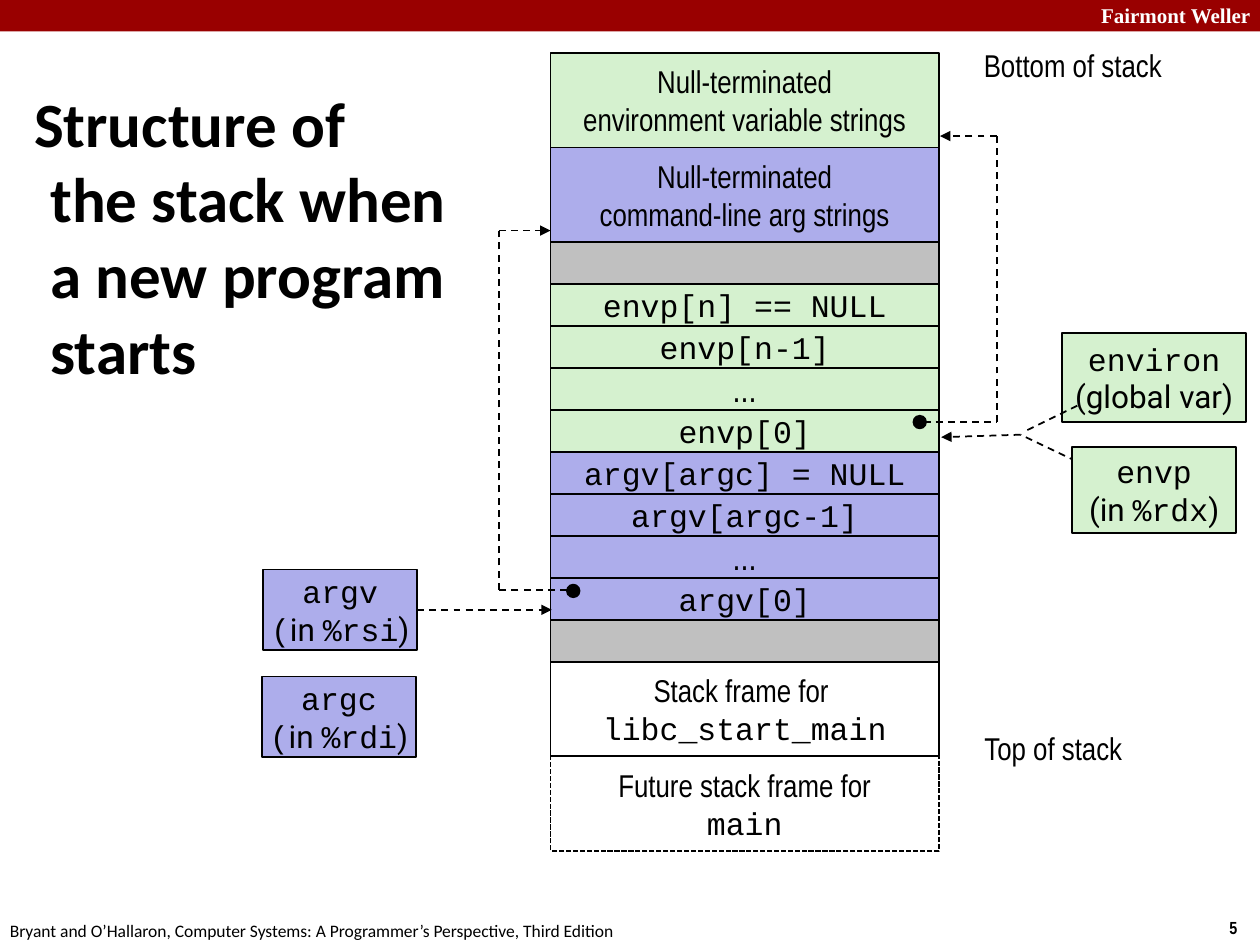
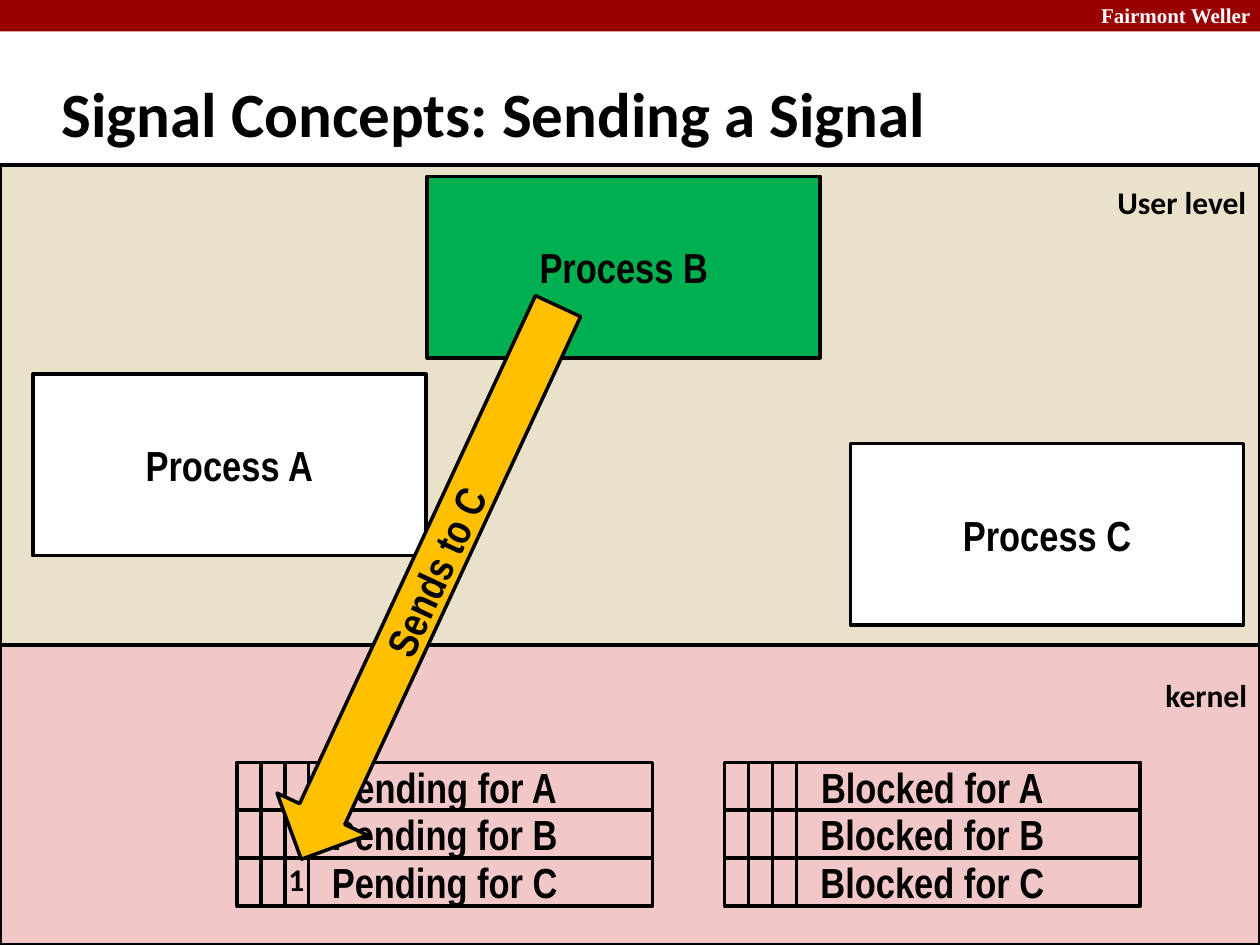
import dataclasses
import itertools

import lxml.etree
import pptx
import pptx.dml.color
import pptx.enum.dml
import pptx.enum.shapes
import pptx.enum.text
import pptx.oxml.ns
import pptx.util

Inches = pptx.util.Inches
SHAPE = pptx.enum.shapes.MSO_SHAPE
ALIGN = pptx.enum.text.PP_ALIGN
ANCHOR = pptx.enum.text.MSO_ANCHOR
DASH = pptx.enum.dml.MSO_LINE


@dataclasses.dataclass(frozen=True)
class Theme:
    band: str = "990000"
    black: str = "000000"
    white: str = "FFFFFF"
    env_green: str = "D5F1CF"
    arg_violet: str = "ADADEB"
    gap_gray: str = "C0C0C0"
    user_sand: str = "E9E1C9"
    kernel_pink: str = "F1C7C7"
    sender_green: str = "00B050"
    arrow_gold: str = "FFC000"
    body: str = "Calibri"
    narrow: str = "Arial Narrow"
    code: str = "Courier New"
    note: str = "Roboto"
    brand: str = "Times New Roman"
    title_size: int = 36
    process_size: int = 24
    dots_size: int = 20
    text_size: int = 18
    brand_size: int = 12
    footer_size: int = 10
    thin: int = 1
    thick: int = 2


THEME = Theme()
NARROW = {"name": THEME.narrow, "size": THEME.text_size}
CODE = {**NARROW, "name": THEME.code}
NOTE = {**NARROW, "name": THEME.note}
DOTS = {**NARROW, "size": THEME.dots_size}
LABEL = {"name": THEME.body, "size": THEME.text_size, "bold": True}
PROCESS = {"name": THEME.narrow, "size": THEME.process_size, "bold": True}
TITLE = {"name": THEME.body, "size": THEME.title_size, "bold": True}
BRAND = {"name": THEME.brand, "size": THEME.brand_size, "bold": True}
FOOTER = {"name": THEME.body, "size": THEME.footer_size}
PAGE_NUMBER = {"name": THEME.narrow, "size": THEME.footer_size, "bold": True}

STACK_LEFT, STACK_TOP, STACK_WIDTH = 4.37, 0.42, 3.08
SLOT, BLOCK = 1 / 3, 0.75
PROCESS_SIZE = (3.12, 1.44)
REGISTER_TOP, REGISTER_WIDTH, REGISTER_HEIGHT = 6.05, 3.3, 0.38
BIT_WIDTH = 0.19


def rgb(color):
    return pptx.dml.color.RGBColor.from_string(color)


def format_font(font, values, color=THEME.black):
    for key, value in values.items():
        setattr(font, key, pptx.util.Pt(value) if key == "size" else value)
    font.color.rgb = rgb(color)


def write_lines(frame, lines, align=ALIGN.CENTER, color=THEME.black):
    """Write one paragraph per line; a line is a list of (text, font values)."""
    for index, line in enumerate(lines):
        para = frame.add_paragraph() if index else frame.paragraphs[0]
        para.alignment = align
        for text, values in line:
            span = para.add_run()
            span.text = text
            format_font(span.font, values, color)


def format_line(line, width, dash=None):
    line.color.rgb = rgb(THEME.black)
    line.width = pptx.util.Pt(width)
    if dash:
        line.dash_style = dash


def add_box(page, at, fill=None, lines=(), width=THEME.thin, dash=None,
            wrap=False, kind=SHAPE.RECTANGLE):
    """Add a preset shape; a width of 0 leaves out its outline."""
    box = page.shapes.add_shape(kind, *map(Inches, at))
    box.shadow.inherit = False
    if fill:
        box.fill.solid()
        box.fill.fore_color.rgb = rgb(fill)
    else:
        box.fill.background()
    if width:
        format_line(box.line, width, dash)
    else:
        box.line.fill.background()
    box.text_frame.word_wrap = wrap
    box.text_frame.vertical_anchor = ANCHOR.MIDDLE
    write_lines(box.text_frame, lines)
    return box


def add_label(page, at, text, values, color=THEME.black, align=ALIGN.LEFT):
    label = page.shapes.add_textbox(*map(Inches, at))
    label.text_frame.word_wrap = False
    label.text_frame.auto_size = pptx.enum.text.MSO_AUTO_SIZE.SHAPE_TO_FIT_TEXT
    write_lines(label.text_frame, [[(text, values)]], align, color)


def add_line(page, start, end, width=THEME.thin, dash=None, arrow=False):
    line = page.shapes.add_connector(
        pptx.enum.shapes.MSO_CONNECTOR.STRAIGHT, *map(Inches, (*start, *end)))
    format_line(line.line, width, dash)
    if arrow:
        tail = lxml.etree.SubElement(line.get_or_add_ln(), pptx.oxml.ns.qn("a:tailEnd"))
        tail.set("type", "triangle")
    lxml.etree.SubElement(line.element.spPr, pptx.oxml.ns.qn("a:effectLst"))
    return line


def add_route(page, points, arrow=True):
    """Join points with dashed lines, the last one with an arrowhead."""
    for start, end in itertools.pairwise(points):
        add_line(page, start, end, dash=DASH.DASH, arrow=arrow and end == points[-1])


def add_page(deck, title, title_at):
    page = deck.slides.add_slide(deck.slide_layouts[5])
    add_box(page, (0, 0, 10, 0.25), THEME.band, width=0)
    add_label(page, (8.64, -0.03, 1.43, 0.3), "Fairmont Weller", BRAND, THEME.white)
    holder = page.shapes.title
    for name, value in zip(("left", "top", "width", "height"), title_at):
        setattr(holder, name, Inches(value))
    frame = holder.text_frame
    frame.word_wrap = True
    frame.auto_size = pptx.enum.text.MSO_AUTO_SIZE.NONE
    frame.vertical_anchor = ANCHOR.MIDDLE
    frame.text = title
    para = frame.paragraphs[0]
    para.alignment = ALIGN.LEFT
    indent = Inches(0.13)
    properties = para._p.get_or_add_pPr()
    properties.set("marL", str(indent))
    properties.set("indent", str(-indent))
    for span in para.runs:
        format_font(span.font, TITLE)
    return page


def add_stack(page):
    def text(words, values=NARROW):
        return [(words, values)]

    green, violet, gray = THEME.env_green, THEME.arg_violet, THEME.gap_gray
    rows = [
        (BLOCK, green, [text("Null-terminated"), text("environment variable strings")]),
        (BLOCK, violet, [text("Null-terminated"), text("command-line arg strings")]),
        (SLOT, gray, []),
        (SLOT, green, [text("envp[n] == NULL", CODE)]),
        (SLOT, green, [text("envp[n-1]", CODE)]),
        (SLOT, green, [text("...", DOTS)]),
        (SLOT, green, [text("envp[0]", CODE)]),
        (SLOT, violet, [text("argv[argc] = NULL", CODE)]),
        (SLOT, violet, [text("argv[argc-1]", CODE)]),
        (SLOT, violet, [text("...", DOTS)]),
        (SLOT, violet, [text("argv[0]", CODE)]),
        (SLOT, gray, []),
        (BLOCK, None, [text("Stack frame for "), text("libc_start_main", CODE)]),
    ]
    top = STACK_TOP
    for height, fill, lines in rows:
        add_box(page, (STACK_LEFT, top, STACK_WIDTH, height), fill, lines)
        top += height
    add_box(page, (STACK_LEFT, top, STACK_WIDTH, BLOCK), None,
            [text("Future stack frame for"), text("main", CODE)], dash=DASH.SQUARE_DOT)


def add_variable(page, at, fill, name, register, bracket=CODE):
    lines = [[(name, CODE)],
             [("(", bracket), ("in ", NOTE), (register, CODE), (")", NOTE)]]
    return add_box(page, at, fill, lines)


def build_stack_page(deck):
    page = add_page(deck, "Structure of \vthe stack when a new program starts",
                    (0.17, 0.83, 3.57, 2.08))
    add_label(page, (9.66, 7.23, 0.34, 0.27), "5", PAGE_NUMBER)
    add_label(page, (-0.02, 7.25, 5.08, 0.27),
              "Bryant and O’Hallaron, Computer Systems: A Programmer’s Perspective, "
              "Third Edition", FOOTER)
    add_stack(page)
    add_label(page, (7.7, 0.32, 1.63, 0.4), "Bottom of stack", NARROW, align=ALIGN.CENTER)
    add_label(page, (7.69, 5.74, 1.34, 0.4), "Top of stack", NARROW, align=ALIGN.CENTER)

    add_box(page, (8.43, 2.64, 1.46, 0.71), THEME.env_green,
            [[("environ", CODE)], [("(global var)", NOTE)]])
    add_route(page, [(4.5, 4.68), (3.96, 4.68), (3.96, 1.83), (4.37, 1.83)])
    add_route(page, [(7.33, 3.35), (7.91, 3.35), (7.91, 1.08), (7.46, 1.08)])
    add_route(page, [(8.54, 3.66), (8.1, 3.45), (7.47, 3.47)])
    add_route(page, [(8.55, 3.22), (8.12, 3.43)], arrow=False)
    for left, top in ((4.5, 4.64), (7.25, 3.3)):
        add_box(page, (left, top, 0.1, 0.1), THEME.black, kind=SHAPE.OVAL)

    add_variable(page, (8.51, 3.55, 1.3, 0.68), THEME.env_green, "envp", "%rdx", NOTE)
    argv = add_variable(page, (2.09, 4.52, 1.22, 0.64), THEME.arg_violet, "argv", "%rsi")
    add_variable(page, (2.08, 5.37, 1.22, 0.64), THEME.arg_violet, "argc", "%rdi")
    argv_arrow = add_line(page, (3.31, 4.84), (4.38, 4.84), dash=DASH.DASH, arrow=True)
    argv_arrow.begin_connect(argv, 3)


def add_process_box(page, at, fill, text, **options):
    return add_box(page, at, fill, [[(text, PROCESS)]], THEME.thick, wrap=True, **options)


def add_registers(page, left, role):
    """Stack one bit vector per process, with three bits ruled off."""
    for index, process in enumerate("ABC"):
        top = REGISTER_TOP + index * REGISTER_HEIGHT
        add_process_box(page, (left, top, REGISTER_WIDTH, REGISTER_HEIGHT), None,
                        f"{role} for {process}")
    bottom = REGISTER_TOP + 3 * REGISTER_HEIGHT
    for bit in range(1, 4):
        x = left + bit * BIT_WIDTH
        add_line(page, (x, REGISTER_TOP), (x, bottom), THEME.thick)


def build_signal_page(deck):
    page = add_page(deck, "Signal Concepts: Sending a Signal", (0.39, 0.48, 8.3, 0.83))
    add_box(page, (0, 1.31, 10, 3.92), THEME.user_sand, width=THEME.thick)
    for name, left, top, fill in (("A", 0.26, 2.97, THEME.white),
                                  ("B", 3.39, 1.4, THEME.sender_green),
                                  ("C", 6.75, 3.52, THEME.white)):
        add_process_box(page, (left, top, *PROCESS_SIZE), fill, f"Process {name}")
    add_box(page, (0, 5.12, 10, 2.38), THEME.kernel_pink, width=THEME.thick)
    add_label(page, (9.15, 5.32, 0.85, 0.4), "kernel", LABEL)
    add_label(page, (8.77, 1.4, 1.23, 0.4), "User level", LABEL)
    add_registers(page, 1.88, "Pending")
    add_registers(page, 5.75, "Blocked")
    add_label(page, (2.19, 6.78, 0.22, 0.4), "1", LABEL)
    arrow = add_process_box(page, (0.99, 4.23, 4.84, 0.79), THEME.arrow_gold,
                            "Sends to C", kind=SHAPE.RIGHT_ARROW)
    arrow.rotation = 114.9
    arrow.element.spPr.xfrm.set("flipV", "1")


def main():
    deck = pptx.Presentation()
    deck.slide_width, deck.slide_height = Inches(10), Inches(7.5)
    build_stack_page(deck)
    build_signal_page(deck)
    deck.save("out.pptx")


if __name__ == "__main__":
    main()
